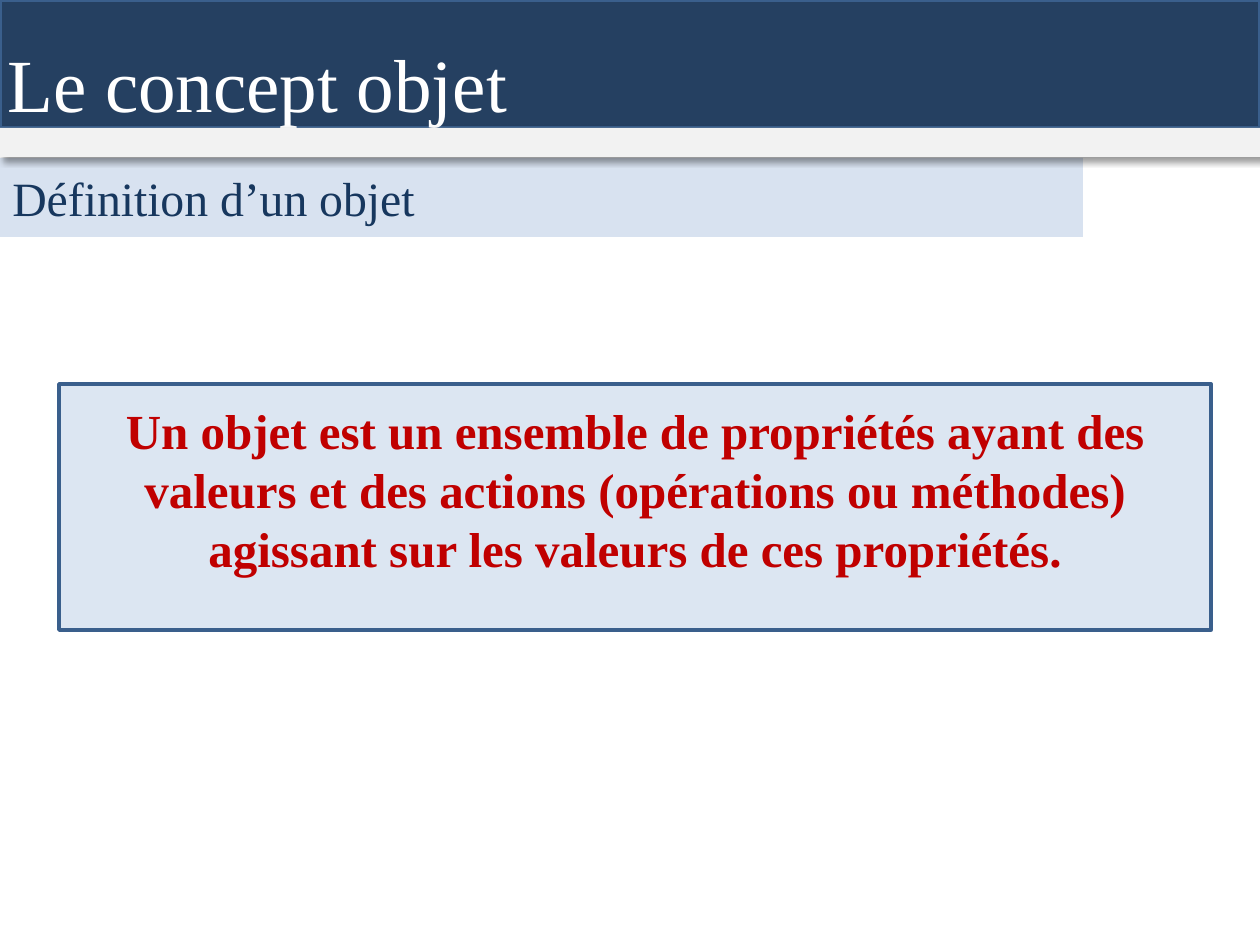
from lxml import etree
from pptx import Presentation
from pptx.dml.color import RGBColor
from pptx.enum.shapes import MSO_SHAPE
from pptx.enum.text import MSO_ANCHOR, PP_ALIGN
from pptx.oxml.ns import qn
from pptx.util import Emu, Pt

RECT = MSO_SHAPE.RECTANGLE
TOP, MIDDLE, BOTTOM = MSO_ANCHOR.TOP, MSO_ANCHOR.MIDDLE, MSO_ANCHOR.BOTTOM
LEFT, CENTER = PP_ALIGN.LEFT, PP_ALIGN.CENTER

NAVY = RGBColor(0x25, 0x40, 0x61)
EDGE = RGBColor(0x3A, 0x5F, 0x8C)
PALE = RGBColor(0xD8, 0xE2, 0xF0)
GREY = RGBColor(0xF2, 0xF2, 0xF2)
ICE = RGBColor(0xDC, 0xE6, 0xF2)
WHITE = RGBColor(0xFF, 0xFF, 0xFF)
BLUE = RGBColor(0x17, 0x37, 0x5E)
RED = RGBColor(0xC0, 0x00, 0x00)
FONT = "Times New Roman"

# Content
TITLE = "Le concept objet"
TOPIC = "Définition d’un objet"
QUOTE = ("Un objet est un ensemble de propriétés ayant des valeurs "
         "et des actions (opérations ou méthodes) agissant sur les "
         "valeurs de ces propriétés.")

# Bands and panel: box in px, fill, outline, shadow
HEAD = ((0, 0, 1260, 128), NAVY, EDGE, True)
SUB = ((0, 158, 1083, 79), PALE, None, False)
STRIP = ((0, 128, 1260, 29), GREY, None, True)
PANEL = ((59, 384, 1152, 246), ICE, EDGE, False)


def px(n):
    return Emu(round(n * 914400 / 126))


def add_shadow(shape):
    effects = shape._element.spPr.find(qn("a:effectLst"))
    outer = etree.SubElement(effects, qn("a:outerShdw"), blurRad=str(Pt(4)),
                             dist=str(Pt(3)), dir=str(45 * 60000),
                             algn="tl", rotWithShape="0")
    color = etree.SubElement(outer, qn("a:srgbClr"), val="000000")
    etree.SubElement(color, qn("a:alpha"), val="40000")


def add_band(slide, box, fill, line, shadow):
    band = slide.shapes.add_shape(RECT, *map(px, box))
    band.shadow.inherit = False
    band.fill.solid()
    band.fill.fore_color.rgb = fill
    if line is None:
        band.line.fill.background()
    else:
        band.line.color.rgb = line
        band.line.width = Pt(2)
    if shadow:
        add_shadow(band)
    return band


def put_text(shape, text, size, color, bold=False, align=LEFT,
             anchor=TOP, space=1.0, top=6, bottom=6):
    frame = shape.text_frame
    frame.word_wrap = True
    frame.vertical_anchor = anchor
    frame.margin_top, frame.margin_bottom = px(top), px(bottom)
    para = frame.paragraphs[0]
    para.alignment = align
    para.line_spacing = space
    run = para.add_run()
    run.text = text
    font = run.font
    font.name, font.size, font.bold = FONT, Pt(size), bold
    font.color.rgb = color


def main():
    deck = Presentation()
    deck.slide_width, deck.slide_height = px(1260), px(945)
    slide = deck.slides.add_slide(deck.slide_layouts[6])

    # Title
    add_band(slide, *HEAD)
    title = slide.shapes.add_textbox(*map(px, (-5, 38, 919, 97)))
    put_text(title, TITLE, 42.9, WHITE, anchor=BOTTOM, space=0.9)

    # Subtitle
    add_band(slide, *SUB)
    add_band(slide, *STRIP)
    topic = slide.shapes.add_textbox(*map(px, (0, 158, 919, 97)))
    put_text(topic, TOPIC, 27.3, BLUE, top=11)

    # Definition
    panel = add_band(slide, *PANEL)
    put_text(panel, QUOTE, 28, RED, bold=True, align=CENTER,
             anchor=MIDDLE, bottom=42)

    deck.save("out.pptx")


if __name__ == "__main__":
    main()
